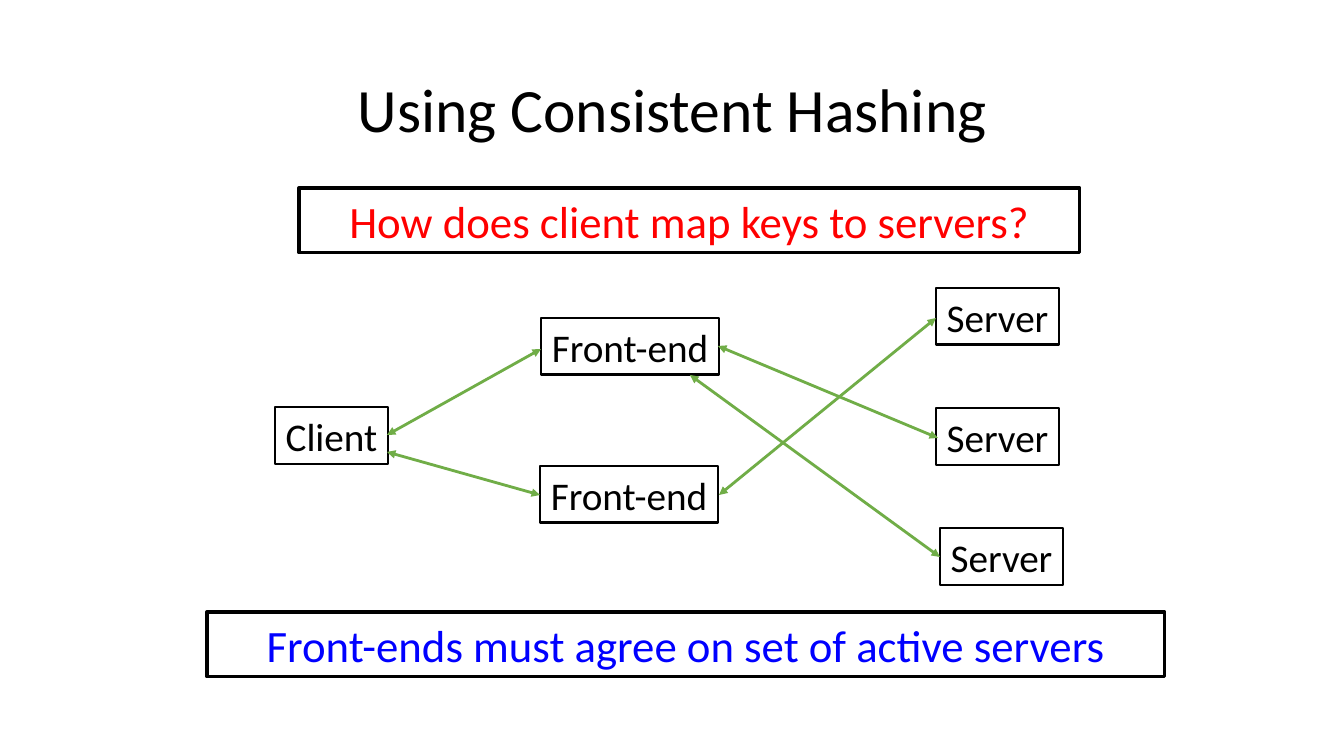
"""Build a slide on how front-ends use consistent hashing."""
from lxml import etree
from pptx import Presentation
from pptx.dml.color import RGBColor as Rgb
from pptx.enum import shapes, text
from pptx.oxml import ns
from pptx.util import Pt

TITLE = ("Using Consistent Hashing", (93, 40, 1159, 146))
NODES = [
    ("Client", 275, 407),
    ("Front-end", 541, 318),
    ("Front-end", 540, 466),
    ("Server", 936, 288),
    ("Server", 936, 408),
    ("Server", 940, 528),
]
WIDTHS = {"Client": 113, "Front-end": 178, "Server": 123}
HEIGHT = 57
LINKS = [
    (541, 349, 387, 435),
    (387, 452, 540, 495),
    (718, 346, 938, 438),
    (719, 495, 936, 318),
    (690, 375, 940, 557),
]
BANNERS = [
    ("How does client map keys to servers?", (299, 188, 781, 65), "ask"),
    ("Front-ends must agree on set of active servers", (207, 612, 958, 65), "answer"),
]
THEME = {
    "font": "Calibri", "ink": "000000", "paper": "FFFFFF", "link": "70AD47",
    "ask": "FF0000", "answer": "0000FF",
    "title": 44, "node": 28, "banner": 32, "thin": 2, "thick": 2.25,
}
SCALE = 914400 / 100.8


def emu(*sizes):
    return [round(size * SCALE) for size in sizes]


def color(name):
    return Rgb.from_string(THEME[name])


def write(shape, words, size, ink="ink", wrap=True):
    frame = shape.text_frame
    frame.text = words
    frame.word_wrap = wrap
    frame.vertical_anchor = text.MSO_ANCHOR.MIDDLE
    para = frame.paragraphs[0]
    para.alignment = text.PP_ALIGN.CENTER
    font = para.runs[0].font
    font.name = THEME["font"]
    font.size = Pt(THEME[size])
    font.color.rgb = color(ink)
    return para


def add_box(slide, words, area, size, ink="ink", line="thin", wrap=True):
    box = slide.shapes.add_shape(shapes.MSO_SHAPE.RECTANGLE, *emu(*area))
    box.shadow.inherit = False
    if wrap:
        box.fill.solid()
        box.fill.fore_color.rgb = color("paper")
    else:
        box.fill.background()
    box.line.color.rgb = color("ink")
    box.line.width = Pt(THEME[line])
    write(box, words, size, ink, wrap)
    box.text_frame.auto_size = text.MSO_AUTO_SIZE.SHAPE_TO_FIT_TEXT


def add_link(slide, ends):
    link = slide.shapes.add_connector(shapes.MSO_CONNECTOR.STRAIGHT, *emu(*ends))
    link.line.color.rgb = color("link")
    link.line.width = Pt(THEME["thin"])
    props = link.element.spPr
    line = props.find(ns.qn("a:ln"))
    for tag in ("a:headEnd", "a:tailEnd"):
        etree.SubElement(line, ns.qn(tag), type="triangle")
    etree.SubElement(props, ns.qn("a:effectLst"))


def main():
    deck = Presentation()
    deck.slide_width, deck.slide_height = emu(1344, 756)
    slide = deck.slides.add_slide(deck.slide_layouts[6])
    words, area = TITLE
    title = slide.shapes.add_textbox(*emu(*area))
    write(title, words, "title").line_spacing = 0.9
    for words, left, top in NODES:
        add_box(slide, words, (left, top, WIDTHS[words], HEIGHT), "node", wrap=False)
    for ends in LINKS:
        add_link(slide, ends)
    for words, area, ink in BANNERS:
        add_box(slide, words, area, "banner", ink, "thick")
    deck.save("out.pptx")


if __name__ == "__main__":
    main()
